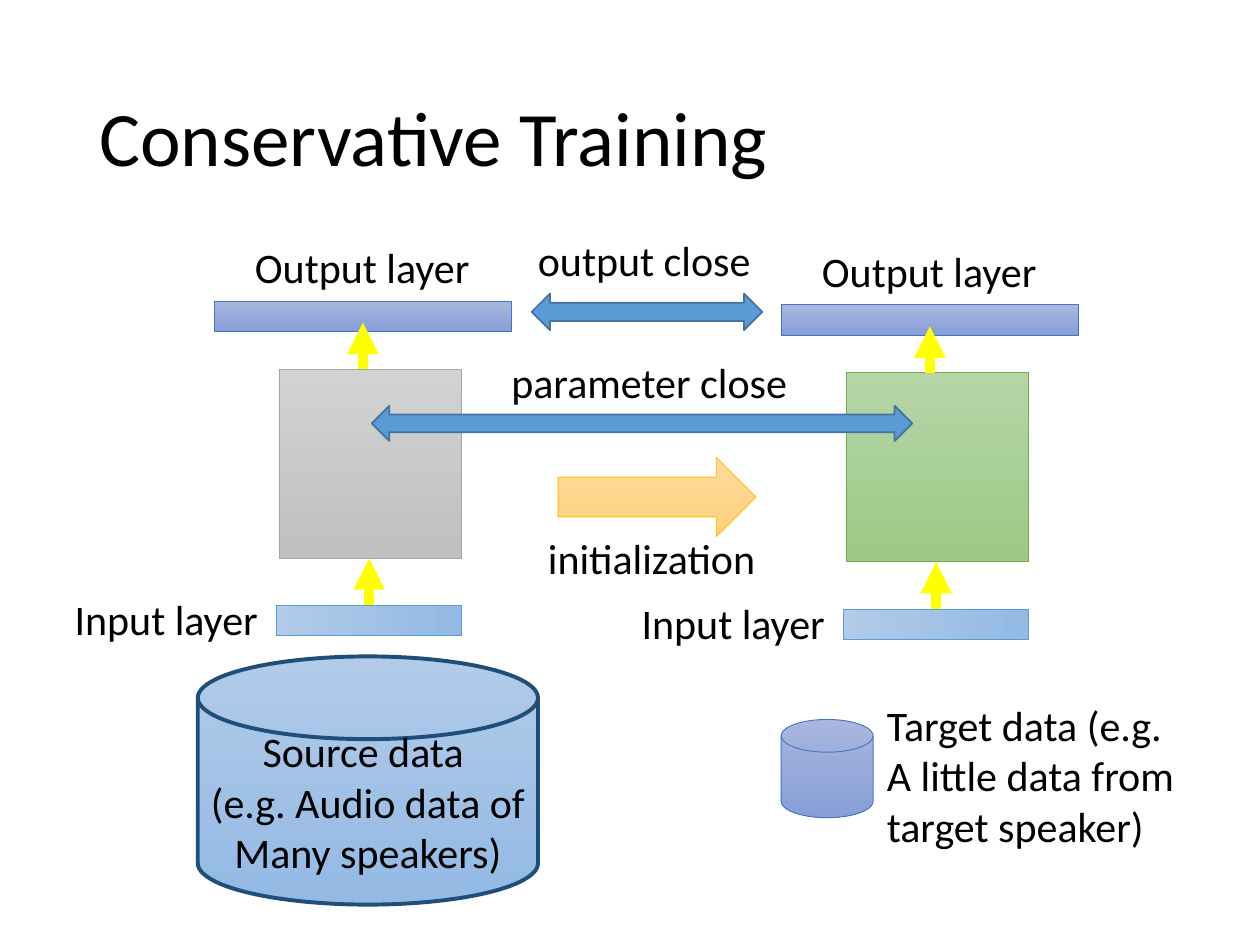
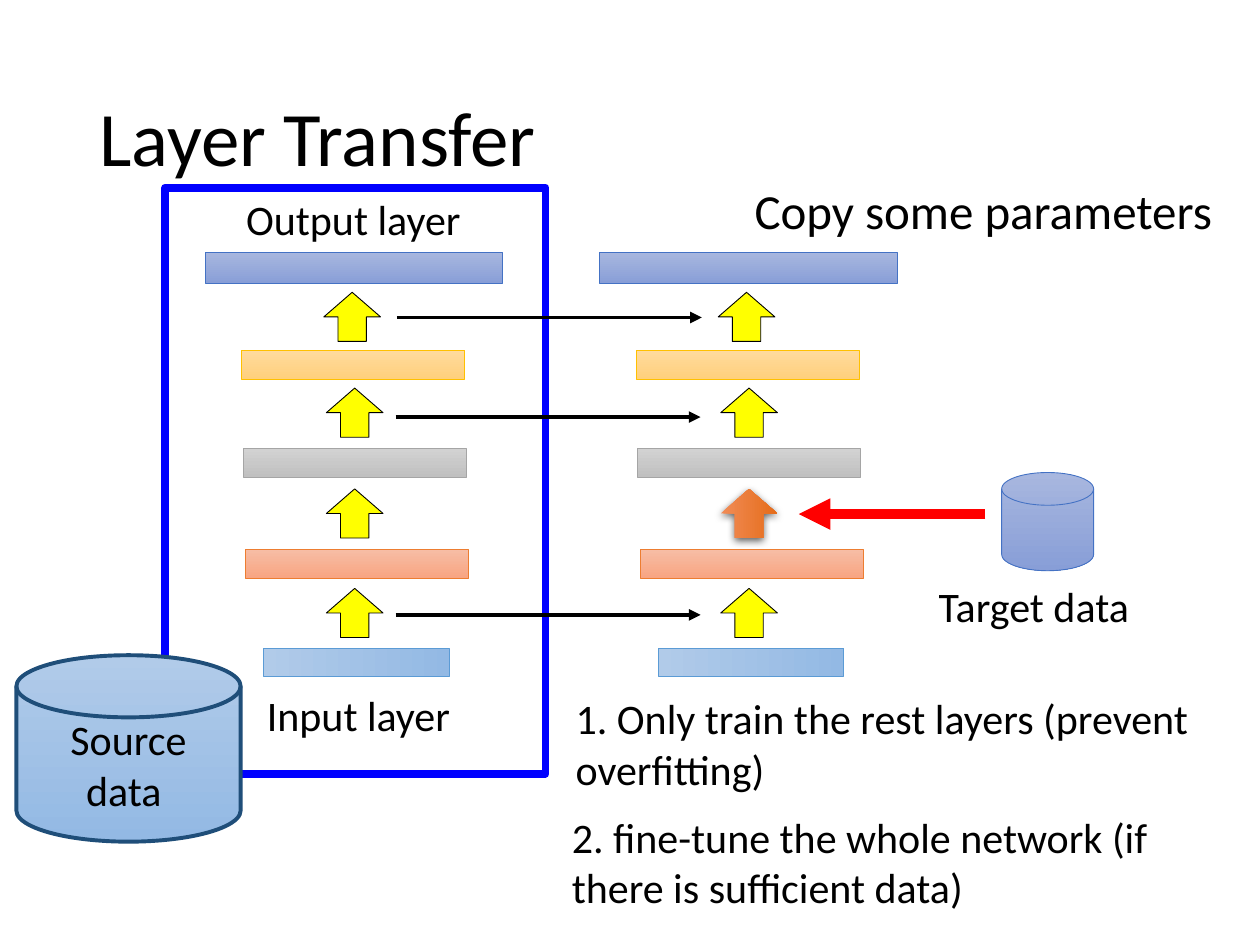
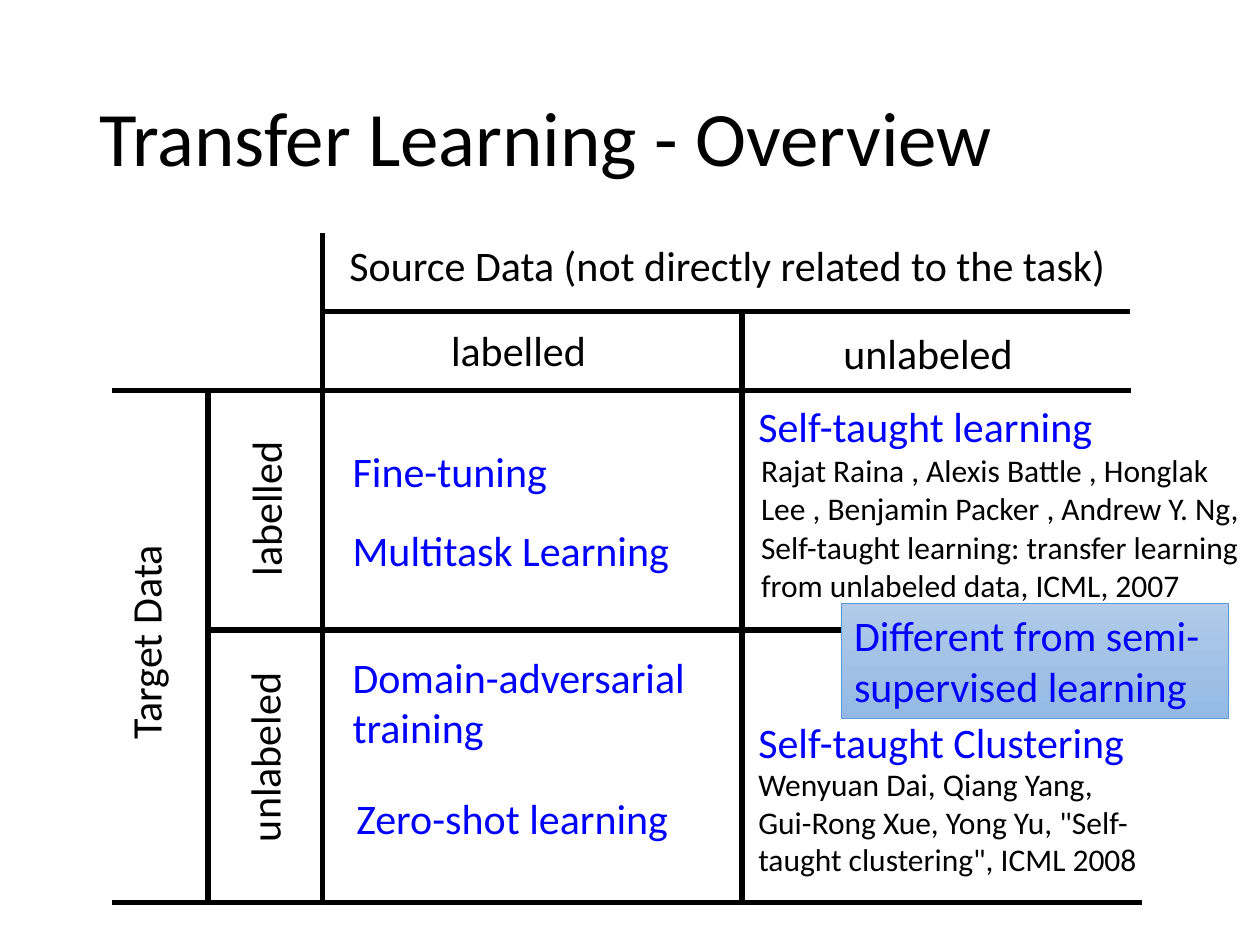
import pptx
import pptx.util
import pptx.dml.color
import pptx.enum.shapes
import pptx.enum.text
import pptx.oxml.ns
import lxml.etree

Inches = pptx.util.Inches
Pt = pptx.util.Pt
RGBColor = pptx.dml.color.RGBColor
SHAPE = pptx.enum.shapes.MSO_SHAPE
STRAIGHT = pptx.enum.shapes.MSO_CONNECTOR.STRAIGHT
ALIGN = pptx.enum.text.PP_ALIGN
ANCHOR = pptx.enum.text.MSO_ANCHOR
qn = pptx.oxml.ns.qn

FONT = "Calibri"
BLACK = RGBColor(0x00, 0x00, 0x00)
WHITE = RGBColor(0xFF, 0xFF, 0xFF)
BLUE = RGBColor(0x00, 0x00, 0xFF)
RED = RGBColor(0xFF, 0x00, 0x00)
YELLOW = RGBColor(0xFF, 0xFF, 0x00)
STEEL = RGBColor(0x5B, 0x9B, 0xD5)
STEEL_EDGE = RGBColor(0x43, 0x73, 0x9E)
NAVY = RGBColor(0x1F, 0x4E, 0x79)
INDIGO_EDGE = RGBColor(0x44, 0x72, 0xC4)
GRAY_EDGE = RGBColor(0xA5, 0xA5, 0xA5)
GOLD_EDGE = RGBColor(0xFF, 0xC0, 0x00)
GREEN_EDGE = RGBColor(0x70, 0xAD, 0x47)
ORANGE_EDGE = RGBColor(0xED, 0x7D, 0x31)

SKY = (RGBColor(0xB1, 0xCB, 0xE9), RGBColor(0x93, 0xB9, 0xE4))
INDIGO = (RGBColor(0xA8, 0xB7, 0xDF), RGBColor(0x88, 0x9E, 0xD7))
GRAY = (RGBColor(0xD2, 0xD2, 0xD2), RGBColor(0xC0, 0xC0, 0xC0))
GOLD = (RGBColor(0xFF, 0xDB, 0x9E), RGBColor(0xFF, 0xD0, 0x7C))
GREEN = (RGBColor(0xB5, 0xD5, 0xA7), RGBColor(0x9C, 0xC9, 0x87))
SALMON = (RGBColor(0xF7, 0xBD, 0xA5), RGBColor(0xF8, 0xA5, 0x82))
ORANGE = (RGBColor(0xF1, 0x8C, 0x57), RGBColor(0xE5, 0x6C, 0x19))


def write(tf, lines, size=24, color=BLACK, align=ALIGN.LEFT):
    """Fill a text frame with one paragraph per line."""
    tf.word_wrap = True
    for i, line in enumerate(lines.split("\n")):
        p = tf.paragraphs[0] if i == 0 else tf.add_paragraph()
        p.alignment = align
        r = p.add_run()
        r.text = line
        r.font.size = Pt(size)
        r.font.name = FONT
        r.font.color.rgb = color


def add_text(s, text, x, y, w, h=0.5, rotation=0, **style):
    """Add a wrapped text box."""
    sp = s.shapes.add_textbox(Inches(x), Inches(y), Inches(w), Inches(h))
    sp.rotation = rotation
    write(sp.text_frame, text, **style)
    return sp


def add_centered(s, text, x, y, w, rotation=0):
    """Add a centred one-line label."""
    add_text(s, text, x, y, w, rotation=rotation, align=ALIGN.CENTER)


def add_title(s, text):
    """Add the slide title."""
    tf = add_text(s, text, 0.69, 0.4, 8.62, 1.45, size=44).text_frame
    tf.vertical_anchor = ANCHOR.MIDDLE
    tf.paragraphs[0].line_spacing = 0.9


def add_shape(s, kind, x, y, w, h, fill=None, edge=None, width=0.5, rotation=0):
    """Add a preset shape with a plain, gradient or empty fill."""
    sp = s.shapes.add_shape(kind, Inches(x), Inches(y), Inches(w), Inches(h))
    sp.shadow.inherit = False
    sp.rotation = rotation
    if fill is None:
        sp.fill.background()
    elif isinstance(fill, RGBColor):
        sp.fill.solid()
        sp.fill.fore_color.rgb = fill
    else:
        sp.fill.gradient()
        sp.fill.gradient_angle = 270
        for stop, color in zip(sp.fill.gradient_stops, fill):
            stop.color.rgb = color
    if edge is None:
        sp.line.fill.background()
    else:
        sp.line.color.rgb = edge
        sp.line.width = Pt(width)
    return sp


def add_line(s, x1, y1, x2, y2, color=BLACK, width=3, arrow=False):
    """Add a straight line, with an arrowhead at its end on request."""
    ln = s.shapes.add_connector(STRAIGHT, Inches(x1), Inches(y1), Inches(x2), Inches(y2))
    ln.line.color.rgb = color
    ln.line.width = Pt(width)
    if arrow:
        lxml.etree.SubElement(ln.line._get_or_add_ln(), qn("a:tailEnd"), type="triangle")
    lxml.etree.SubElement(ln._element.spPr, qn("a:effectLst"))


def add_soft_shadow(sp):
    """Give a shape a soft shadow below it."""
    effects = sp._element.spPr.find(qn("a:effectLst"))
    shadow = lxml.etree.SubElement(effects, qn("a:outerShdw"), blurRad=str(Pt(4.5)),
                                   dist=str(Pt(1.5)), dir="5400000", rotWithShape="0")
    color = lxml.etree.SubElement(shadow, qn("a:srgbClr"), val=str(BLACK))
    lxml.etree.SubElement(color, qn("a:alpha"), val="63000")


def add_source_disk(s, text, x, y, w, h):
    """Add the large labelled source data cylinder."""
    sp = add_shape(s, SHAPE.FLOWCHART_MAGNETIC_DISK, x, y, w, h, SKY, NAVY, 2.25)
    sp.text_frame.vertical_anchor = ANCHOR.MIDDLE
    write(sp.text_frame, text, align=ALIGN.CENTER)


def add_target_disk(s, x, y):
    """Add the small target data cylinder."""
    add_shape(s, SHAPE.FLOWCHART_MAGNETIC_DISK, x, y, 0.73, 0.78, INDIGO, INDIGO_EDGE)


def add_network(s, x, y, body, edge):
    """Add a network block with its input and output layers."""
    add_shape(s, SHAPE.RECTANGLE, x + 0.52, y + 0.54, 1.44, 1.5, body, edge)
    add_shape(s, SHAPE.RECTANGLE, x + 1.11, y + 1.8, 0.24, 1.47, SKY, STEEL, rotation=270)
    add_shape(s, SHAPE.RECTANGLE, x, y, 2.36, 0.24, INDIGO, INDIGO_EDGE)
    add_centered(s, "Input layer", x - 1.26, y + 2.27, 1.76)
    add_centered(s, "Output layer", x - 0.2, y - 0.52, 2.75)
    for dx, bottom in ((1.23, 2.41), (1.18, 0.54)):
        add_line(s, x + dx, y + bottom, x + dx, y + bottom - 0.37, YELLOW, 6, True)


def add_layer_stack(s, x, trained=None):
    """Add five layers joined by arrows, one of them trained anew."""
    add_shape(s, SHAPE.RECTANGLE, x + 1.09, 4.52, 0.22, 1.47, SKY, STEEL, rotation=270)
    add_shape(s, SHAPE.RECTANGLE, x, 2, 2.36, 0.25, INDIGO, INDIGO_EDGE)
    hidden = ((0.29, 2.78, GOLD, GOLD_EDGE), (0.3, 3.56, GRAY, GRAY_EDGE),
              (0.32, 4.36, SALMON, ORANGE_EDGE))
    for dx, y, fill, edge in hidden:
        add_shape(s, SHAPE.RECTANGLE, x + dx, y, 1.77, 0.23, fill, edge)
    for i, (dx, y) in enumerate(((0.97, 2.29), (0.99, 3.05), (0.99, 3.85), (0.99, 4.64))):
        look = (ORANGE, None) if i == trained else (YELLOW, BLACK)
        sp = add_shape(s, SHAPE.RIGHT_ARROW, x + dx, y, 0.39, 0.45, *look, rotation=270)
        if i == trained:
            add_soft_shadow(sp)


def add_citation_table(s, text, x, y, w, h):
    """Add a one-cell table holding a citation."""
    table = s.shapes.add_table(1, 1, Inches(x), Inches(y), Inches(w), Inches(h)).table
    table.first_row = False
    table.horz_banding = False
    cell = table.cell(0, 0)
    cell.fill.solid()
    cell.fill.fore_color.rgb = WHITE
    cell.margin_left = cell.margin_right = Inches(0.09)
    cell.margin_top = cell.margin_bottom = Inches(0.02)
    write(cell.text_frame, text, size=18)


def build_conservative_training(s):
    """Build the slide that compares source and target networks."""
    add_title(s, "Conservative Training")
    add_source_disk(s, "Source data \n(e.g. Audio data of \nMany speakers)", 1.57, 5.21, 2.7, 1.97)
    add_target_disk(s, 6.2, 5.71)
    add_text(s, "Target data (e.g. A little data from target speaker)", 6.94, 5.5, 2.52, 1.31)
    add_network(s, 1.7, 2.39, GRAY, GRAY_EDGE)
    add_network(s, 6.2, 2.42, GREEN, GREEN_EDGE)
    add_shape(s, SHAPE.RIGHT_ARROW, 4.43, 3.63, 1.57, 0.63, GOLD, GOLD_EDGE)
    add_text(s, "initialization", 4.25, 4.18, 1.98)
    for x, y, w, h in ((4.22, 2.33, 1.83, 0.29), (2.95, 3.22, 4.29, 0.28)):
        add_shape(s, SHAPE.LEFT_RIGHT_ARROW, x, y, w, h, STEEL, STEEL_EDGE, 1)
    add_text(s, "output close", 4.17, 1.81, 2.02)
    add_text(s, "parameter close", 3.96, 2.78, 2.68)


def build_layer_transfer(s):
    """Build the slide on copying layers between networks."""
    add_shape(s, SHAPE.RECTANGLE, 1.31, 1.49, 3.02, 4.65, edge=BLUE, width=4.5)
    add_title(s, "Layer Transfer")
    add_layer_stack(s, 1.63)
    add_centered(s, "Input layer", 1.47, 5.42, 2.75)
    add_centered(s, "Output layer", 1.43, 1.49, 2.75)
    add_text(s, "Copy some parameters", 5.89, 1.38, 3.9, 0.57, size=28)
    add_line(s, 7.82, 4.08, 6.34, 4.08, RED, 6, True)
    add_target_disk(s, 7.95, 3.75)
    add_text(s, "Target data", 7.35, 4.56, 2.21)
    add_source_disk(s, "Source data ", 0.13, 5.2, 1.78, 1.48)
    add_layer_stack(s, 4.76, trained=2)
    for x, y in ((3.15, 2.52), (3.14, 3.31), (3.14, 4.88)):
        add_line(s, x, y, x + 2.42, y, BLACK, 2.25, True)
    add_text(s, "1. Only train the rest layers (prevent overfitting)", 4.47, 5.45, 5.53, 0.91)
    add_text(s, "2. fine-tune the whole network (if there is sufficient data)", 4.44, 6.39, 5.2, 0.91)


def build_overview(s):
    """Build the grid of transfer learning methods."""
    add_title(s, "Transfer Learning - Overview")
    for x, top in ((1.65, 3.08), (2.56, 1.85), (5.89, 2.47)):
        add_line(s, x, top, x, 7.16)
    for y, left, right in ((2.47, 2.56, 8.97), (3.1, 0.89, 8.98),
                           (5, 1.65, 8.98), (7.16, 0.89, 9.06)):
        add_line(s, left, y, right, y)
    add_centered(s, "Target Data ", -0.65, 4.81, 3.6, rotation=270)
    add_centered(s, "Source Data (not directly related to the task) ", 2.56, 1.85, 6.5)
    for text, x, y, rotation in (("labelled", 3.27, 2.53, 0), ("labelled", 1.26, 3.79, 270),
                                 ("unlabeled", 6.52, 2.55, 0), ("unlabeled", 1.25, 5.76, 270)):
        add_centered(s, text, x, y, 1.69, rotation)
    methods = (("Multitask Learning", 2.7, 4.11, 2.82, 0.5),
               ("Fine-tuning", 2.7, 3.49, 2.82, 0.5),
               ("Self-taught learning", 5.92, 3.13, 3.51, 0.5),
               ("Domain-adversarial training", 2.7, 5.12, 3.04, 0.91),
               ("Zero-shot learning", 2.73, 6.24, 3.04, 0.5),
               ("Self-taught Clustering", 5.92, 5.64, 3.25, 0.5))
    for text, x, y, w, h in methods:
        add_text(s, text, x, y, w, h, color=BLUE)
    add_citation_table(s, "Rajat Raina , Alexis Battle , Honglak Lee , Benjamin Packer , "
                       "Andrew Y. Ng, Self-taught learning: transfer learning from unlabeled "
                       "data, ICML, 2007", 5.95, 3.57, 3.99, 1.24)
    add_text(s, "Wenyuan Dai, Qiang Yang, Gui-Rong Xue, Yong Yu, \"Self-taught clustering\", "
             "ICML 2008", 5.92, 6.02, 3.32, 1.01, size=18)
    note = add_shape(s, SHAPE.RECTANGLE, 6.68, 4.79, 3.07, 0.91, SKY, STEEL)
    note.text_frame.vertical_anchor = ANCHOR.TOP
    write(note.text_frame, "Different from semi-supervised learning", color=BLUE)


def main():
    """Build the slides and save the presentation."""
    prs = pptx.Presentation()
    prs.slide_width = Inches(10)
    prs.slide_height = Inches(7.5)
    for build in (build_conservative_training, build_layer_transfer, build_overview):
        build(prs.slides.add_slide(prs.slide_layouts[6]))
    prs.save("out.pptx")


if __name__ == "__main__":
    main()
